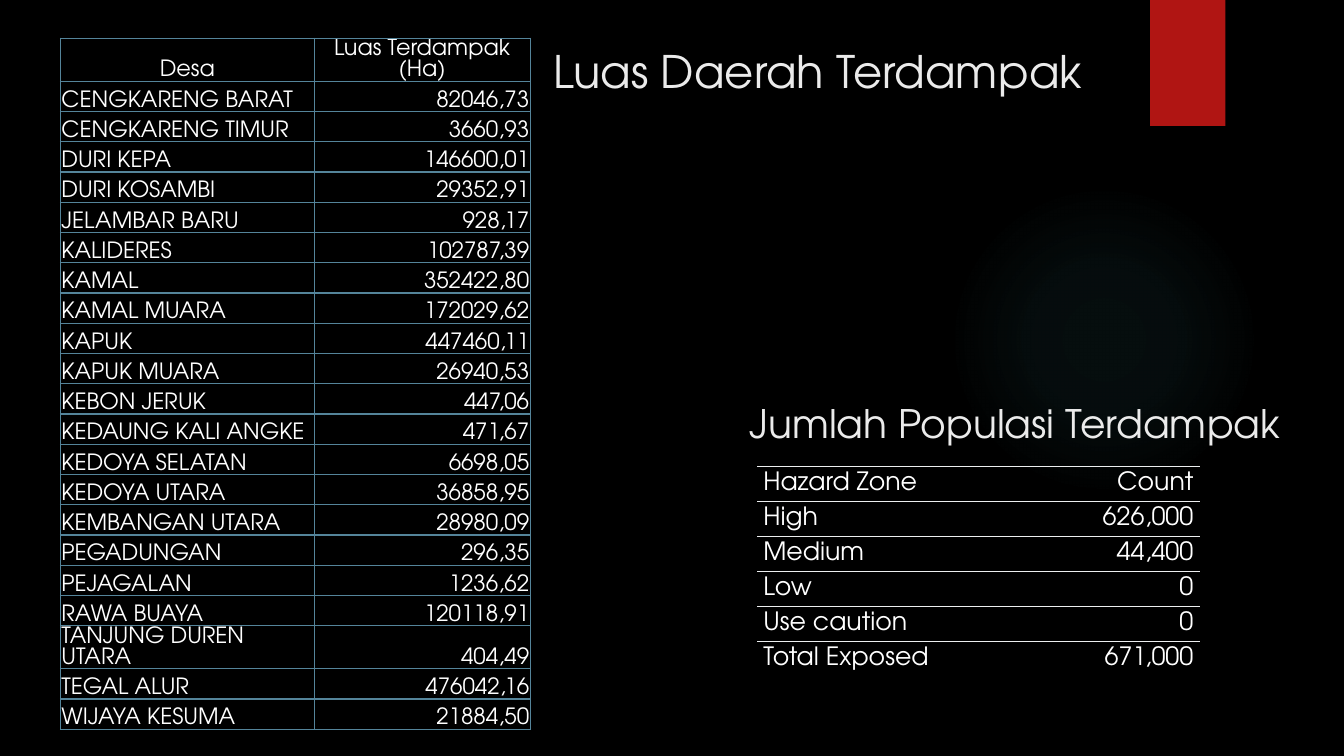
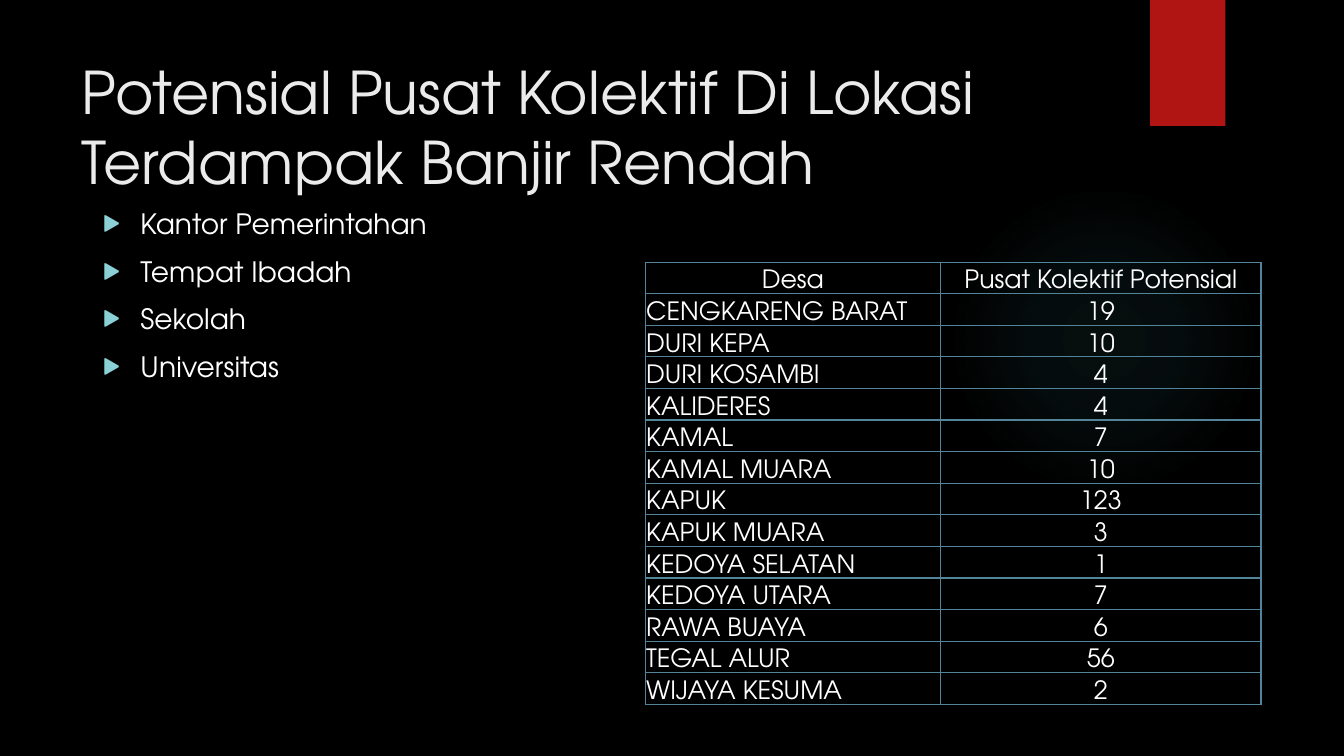
from lxml.etree import SubElement
from pptx import Presentation
from pptx.dml.color import RGBColor
from pptx.enum.shapes import MSO_SHAPE
from pptx.enum.text import MSO_ANCHOR, PP_ALIGN
from pptx.oxml import parse_xml
from pptx.oxml.ns import nsdecls, qn
from pptx.util import Inches, Pt

WIDE, HIGH = Inches(13.333), Inches(7.5)
FONT = "TeX Gyre Adventor"
BLACK, WHITE, PALE = "000000", "FFFFFF", "EBEBEB"
RED, TEAL, AQUA, STEEL, RULE = "B01513", "50B9C1", "8AD0D6", "54849A", "ECEEEF"
PLAIN = "{2D5ABB26-0587-4C30-8999-92F81FD0307C}"
LEFT, MID, RIGHT = PP_ALIGN.LEFT, PP_ALIGN.CENTER, PP_ALIGN.RIGHT
TOP, LOW = MSO_ANCHOR.TOP, MSO_ANCHOR.BOTTOM

AREAS = [
    ("Desa", "Luas Terdampak (Ha)"),
    ("CENGKARENG BARAT", "82046,73"),
    ("CENGKARENG TIMUR", "3660,93"),
    ("DURI KEPA", "146600,01"),
    ("DURI KOSAMBI", "29352,91"),
    ("JELAMBAR BARU", "928,17"),
    ("KALIDERES", "102787,39"),
    ("KAMAL", "352422,80"),
    ("KAMAL MUARA", "172029,62"),
    ("KAPUK", "447460,11"),
    ("KAPUK MUARA", "26940,53"),
    ("KEBON JERUK", "447,06"),
    ("KEDAUNG KALI ANGKE", "471,67"),
    ("KEDOYA SELATAN", "6698,05"),
    ("KEDOYA UTARA", "36858,95"),
    ("KEMBANGAN UTARA", "28980,09"),
    ("PEGADUNGAN", "296,35"),
    ("PEJAGALAN", "1236,62"),
    ("RAWA BUAYA", "120118,91"),
    ("TANJUNG DUREN UTARA", "404,49"),
    ("TEGAL ALUR", "476042,16"),
    ("WIJAYA KESUMA", "21884,50"),
]
ZONES = [
    ("Hazard Zone", "Count"),
    ("High", "626,000"),
    ("Medium", "44,400"),
    ("Low", "0"),
    ("Use caution", "0"),
    ("Total Exposed", "671,000"),
]
SITES = [
    ("Desa", "Pusat Kolektif Potensial"),
    ("CENGKARENG BARAT", "19"),
    ("DURI KEPA", "10"),
    ("DURI KOSAMBI", "4"),
    ("KALIDERES", "4"),
    ("KAMAL", "7"),
    ("KAMAL MUARA", "10"),
    ("KAPUK", "123"),
    ("KAPUK MUARA", "3"),
    ("KEDOYA SELATAN", "1"),
    ("KEDOYA UTARA", "7"),
    ("RAWA BUAYA", "6"),
    ("TEGAL ALUR", "56"),
    ("WIJAYA KESUMA", "2"),
]
KINDS = ["Kantor Pemerintahan", "Tempat Ibadah", "Sekolah", "Universitas"]


def color(code):
    return RGBColor.from_string(code)


def area(x, y, w, h):
    return [int(part * side / 100)
            for part, side in zip((x, y, w, h), (WIDE, HIGH, WIDE, HIGH))]


def bullet(para):
    props = para._p.get_or_add_pPr()
    props.set("marL", str(Pt(27)))
    props.set("indent", str(-Pt(27)))
    tint = SubElement(props, qn("a:buClr"))
    SubElement(tint, qn("a:srgbClr"), val=AQUA)
    SubElement(props, qn("a:buSzPct"), val="80000")
    SubElement(props, qn("a:buFont"), typeface=FONT)
    SubElement(props, qn("a:buChar"), char="▶")


def write(frame, *lines, size=18, ink=WHITE, align=LEFT, lead=None, gap=0, mark=False):
    frame.word_wrap = True
    for i, line in enumerate(lines):
        para = frame.paragraphs[0] if i == 0 else frame.add_paragraph()
        if lead:
            para.line_spacing = Pt(lead)
        if gap and i:
            para.space_before = Pt(gap)
        if mark:
            bullet(para)
        para.alignment = align
        run = para.add_run()
        run.text = line
        font = run.font
        font.name, font.size = FONT, Pt(size)
        font.color.rgb = color(ink)


def label(slide, box, *lines, **style):
    write(slide.shapes.add_textbox(*box).text_frame, *lines, **style)


def edge(cell, sides, ink, width):
    props = cell._tc.get_or_add_tcPr()
    for i, side in enumerate(sides):
        props.insert(i, parse_xml(
            f'<a:ln{side} {nsdecls("a")} w="{Pt(width)}"><a:solidFill>'
            f'<a:srgbClr val="{ink}"/></a:solidFill></a:ln{side}>'))


def grid(slide, box, rows, first, aligns, head=(MID, MID), size=18, lead=None,
         pad=(0.72, 0.72, 0), anchor=LOW, sides="LRTB", ink=STEEL, width=1):
    frame = slide.shapes.add_table(len(rows), 2, *box)
    table = frame.table
    table.first_row = table.horz_banding = False
    table._tbl.tblPr.find(qn("a:tableStyleId")).text = PLAIN
    table.columns[0].width = int(box[2] * first)
    table.columns[1].width = box[2] - table.columns[0].width
    for r, row in enumerate(rows):
        table.rows[r].height = box[3] // len(rows)
        for c, text in enumerate(row):
            cell = table.cell(r, c)
            cell.margin_left = cell.margin_right = Pt(pad[0])
            cell.margin_top, cell.margin_bottom = Pt(pad[1]), Pt(pad[2])
            cell.vertical_anchor = anchor
            cell.fill.background()
            edge(cell, sides, ink, width)
            write(cell.text_frame, text, size=size, lead=lead,
                  align=(aligns if r else head)[c])


def shape(slide, kind, box, ink):
    item = slide.shapes.add_shape(kind, *box)
    item.shadow.inherit = False
    item.line.fill.background()
    item.fill.solid()
    item.fill.fore_color.rgb = color(ink)
    return item


def glow(slide, box):
    item = shape(slide, MSO_SHAPE.OVAL, box, TEAL)
    stops = "".join(
        f'<a:gs pos="{spot}000"><a:srgbClr val="{TEAL}">'
        f'<a:alpha val="{alpha}000"/></a:srgbClr></a:gs>'
        for spot, alpha in ((0, 7), (36, 6), (69, 0)))
    props = item._element.spPr
    props.replace(props.find(qn("a:solidFill")), parse_xml(
        f'<a:gradFill {nsdecls("a")} rotWithShape="1"><a:gsLst>{stops}</a:gsLst>'
        '<a:path path="circle"><a:fillToRect l="50000" t="50000" r="50000" b="50000"/>'
        '</a:path></a:gradFill>'))
    return item


def theme(deck, slide):
    master = deck.slide_master
    master.background.fill.solid()
    master.background.fill.fore_color.rgb = color(BLACK)
    parts = [glow(slide, area(70.58, 24.4, 23.1, 41.07)),
             shape(slide, MSO_SHAPE.RECTANGLE, area(85.58, 0, 5.6, 16.67), RED)]
    for i, part in enumerate(parts):
        part._element.nvSpPr.cNvPr.set("id", str(20 + i))
        master.shapes._spTree.append(part._element)


def impact(slide):
    label(slide, area(40.43, 5.07, 48.08, 12), "Luas Daerah Terdampak", size=32, ink=PALE)
    grid(slide, area(4.5, 5.07, 34.95, 4 * len(AREAS)), AREAS, 0.54, (LEFT, RIGHT),
         size=16, lead=15)
    grid(slide, area(56.33, 61.73, 32.93, 4.6 * len(ZONES)), ZONES, 0.5, (LEFT, RIGHT),
         head=(LEFT, RIGHT), lead=16, pad=(4.5, 4.5, 4.5), anchor=TOP,
         sides="T", ink=RULE, width=0.5)
    label(slide, area(55.05, 52.13, 44.95, 9), "Jumlah Populasi Terdampak",
          size=28, ink=PALE)


def shelter(slide):
    label(slide, area(5.33, 6.67, 77.18, 20.4),
          "Potensial Pusat Kolektif Di Lokasi Terdampak Banjir Rendah",
          size=42, ink=PALE)
    label(slide, area(6.9, 26.67, 33.23, 63.47), *KINDS, size=20, gap=10, mark=True)
    grid(slide, area(48, 34.67, 45.83, 4.18 * len(SITES)), SITES, 0.48, (LEFT, MID))


def main():
    deck = Presentation()
    deck.slide_width, deck.slide_height = WIDE, HIGH
    first, second = [deck.slides.add_slide(deck.slide_layouts[6]) for _ in range(2)]
    theme(deck, first)
    impact(first)
    shelter(second)
    deck.save("out.pptx")


if __name__ == "__main__":
    main()
